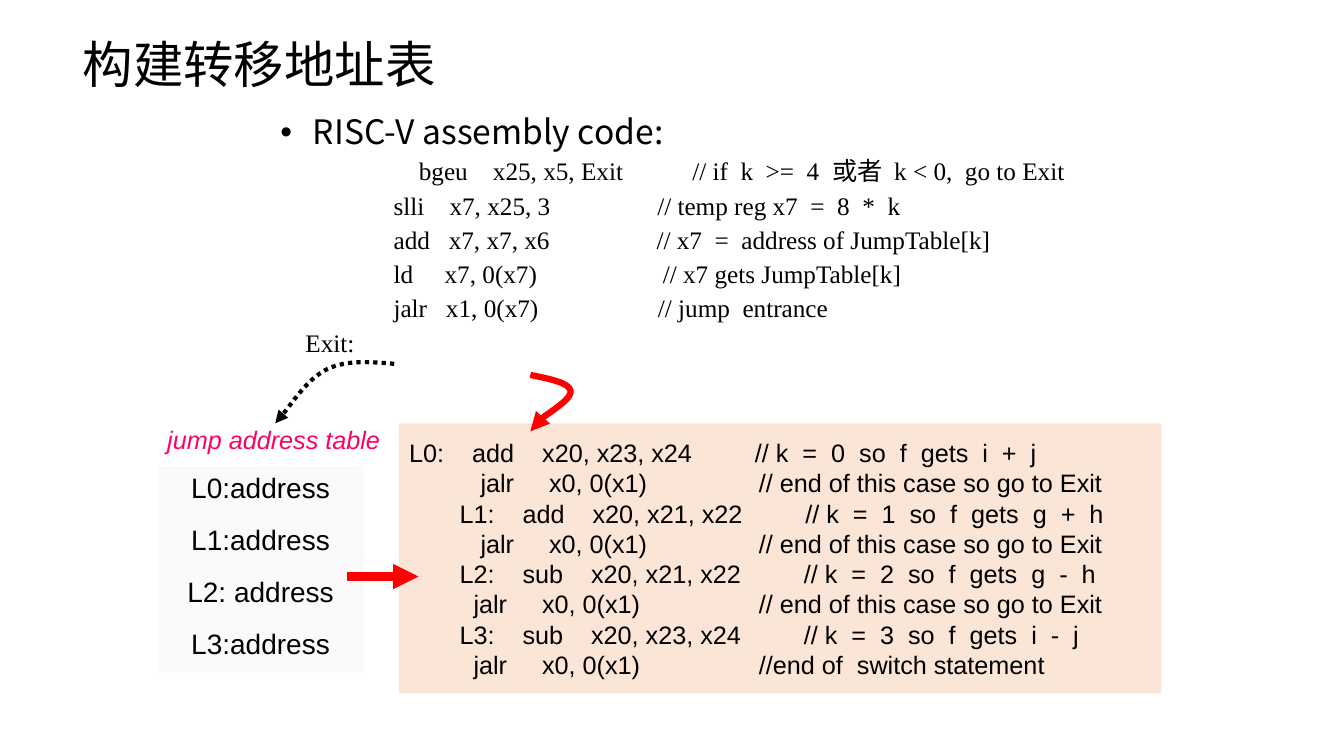
from lxml import etree
from pptx import Presentation
from pptx.dml.color import RGBColor
from pptx.enum.dml import MSO_LINE
from pptx.enum.shapes import MSO_CONNECTOR, MSO_SHAPE
from pptx.enum.text import MSO_ANCHOR, MSO_AUTO_SIZE, PP_ALIGN
from pptx.oxml.ns import qn
from pptx.util import Inches, Pt

RECTANGLE = MSO_SHAPE.RECTANGLE
STRAIGHT = MSO_CONNECTOR.STRAIGHT
DOTTED = MSO_LINE.ROUND_DOT
LEFT, CENTER = PP_ALIGN.LEFT, PP_ALIGN.CENTER
TOP, MIDDLE = MSO_ANCHOR.TOP, MSO_ANCHOR.MIDDLE

CELL = 0.1  # inches per grid column and row
SANS, SERIF, CJK = "Arial", "Times New Roman", "Noto Sans CJK SC"
BLACK, RED, PINK = "000000", "FF0000", "FF0066"
PEACH, PALE_GREY = "FBE5D6", "FAFAFA"

DISPATCH_CODE = [
    "\t\t          bgeu    x25, x5, Exit           // if  k  >=  4  或者  k < 0,  go to Exit",
    "                  slli    x7, x25, 3                 // temp reg x7  =  8  *  k",
    "                  add   x7, x7, x6                 // x7  =  address of JumpTable[k]",
    "                  ld     x7, 0(x7)                    // x7 gets JumpTable[k]",
    "                  jalr   x1, 0(x7)                   // jump  entrance",
    "\tExit:",
]
CASE_CODE = [
    "L0:    add    x20, x23, x24         // k  =  0  so  f  gets  i  +  j",
    "   jalr     x0, 0(x1)                // end of this case so go to Exit",
    "L1:    add    x20, x21, x22         // k  =  1  so  f  gets  g  +  h",
    "   jalr     x0, 0(x1)                // end of this case so go to Exit",
    "L2:    sub    x20, x21, x22         // k  =  2  so  f  gets  g  -  h",
    "  jalr     x0, 0(x1)                 // end of this case so go to Exit",
    "L3:    sub    x20, x23, x24         // k  =  3  so  f  gets  i  -  j",
    "  jalr     x0, 0(x1)                 //end of  switch statement",
]
TABLE_ENTRIES = ["L0:address", "L1:address", "L2: address", "L3:address"]


def grid(cells):
    return Inches(cells * CELL)


def color(hex_text):
    return RGBColor.from_string(hex_text)


def place(shape, left, top, width, height):
    shape.left, shape.top = grid(left), grid(top)
    shape.width, shape.height = grid(width), grid(height)


def style_para(para, font, size, ink=BLACK, align=LEFT, before=0, italic=False):
    para.alignment = align
    para.space_before = Pt(before)
    for span in para.runs:
        span.font.name, span.font.size = font, Pt(size)
        span.font.italic = italic
        span.font.color.rgb = color(ink)
        east_asian = etree.SubElement(span.font._element, qn("a:ea"))
        east_asian.set("typeface", CJK)


def set_indent(para, margin, first_line=0, bullet=None):
    """Set the hanging indent in inches and the bullet, if any."""
    properties = para._p.get_or_add_pPr()
    properties.set("marL", str(Inches(margin)))
    properties.set("indent", str(Inches(first_line)))
    if bullet:
        etree.SubElement(properties, qn("a:buChar")).set("char", bullet)
    else:
        etree.SubElement(properties, qn("a:buNone"))


def set_text(shape, lines, anchor=TOP):
    frame = shape.text_frame
    frame.text = "\n".join(lines)
    frame.word_wrap = True
    frame.auto_size = MSO_AUTO_SIZE.NONE
    frame.vertical_anchor = anchor
    return frame.paragraphs


def add_panel(page, area, fill):
    panel = page.shapes.add_shape(RECTANGLE, *map(grid, area))
    panel.shadow.inherit = False
    panel.fill.solid()
    panel.fill.fore_color.rgb = color(fill)
    panel.line.fill.background()
    return panel


def style_arrow(arrow, ink, width, dash=None):
    arrow.line.color.rgb = color(ink)
    arrow.line.width = Pt(width)
    if dash:
        arrow.line.dash_style = dash
    etree.SubElement(arrow.line._get_or_add_ln(), qn("a:tailEnd")).set("type", "triangle")


def add_curved_arrow(page, points, ink, width, dash=None):
    """Draw cubic curves through a start point and triples of control points."""
    start, *controls = [(grid(x), grid(y)) for x, y in points]
    builder = page.shapes.build_freeform(*start)
    builder.add_line_segments(controls, close=False)
    arrow = builder.convert_to_shape()
    path = next(arrow._element.iter(qn("a:path")))
    segments = path.findall(qn("a:lnTo"))
    for first in range(0, len(segments), 3):
        curve = etree.SubElement(path, qn("a:cubicBezTo"))
        for segment in segments[first:first + 3]:
            curve.append(segment[0])
            path.remove(segment)
    arrow.shadow.inherit = False
    arrow.fill.background()
    style_arrow(arrow, ink, width, dash)


def add_straight_arrow(page, start, end, ink, width):
    arrow = page.shapes.add_connector(STRAIGHT, *map(grid, start + end))
    style_arrow(arrow, ink, width)
    etree.SubElement(arrow._element.spPr, qn("a:effectLst"))


def fill_title(page):
    title = page.shapes.title
    place(title, 7.2, 2.7, 41.7, 7.1)
    for para in set_text(title, ["构建转移地址表"], MIDDLE):
        style_para(para, SANS, 36)


def fill_body(page):
    body = page.placeholders[1]
    place(body, 21.8, 11, 93.4, 26.8)
    heading, *code = set_text(body, [" RISC-V assembly code:"] + DISPATCH_CODE)
    set_indent(heading, 0.75, -0.25, "•")
    style_para(heading, CJK, 24)
    heading.line_spacing = 0.9
    for para in code:
        set_indent(para, 0.75, -0.25)
        style_para(para, SERIF, 18, before=5)
        para.line_spacing = 0.9


def add_case_code(page):
    panel = add_panel(page, (39.6, 42, 75.6, 26.8), PEACH)
    for number, para in enumerate(set_text(panel, CASE_CODE, MIDDLE)):
        set_indent(para, 0.5 if number else 0)
        style_para(para, SANS, 18)


def add_jump_table(page):
    label = page.shapes.add_textbox(*map(grid, (15.6, 41.6, 25, 4)))
    for para in set_text(label, ["jump address table"]):
        style_para(para, SANS, 18, PINK, italic=True)
    panel = add_panel(page, (15.6, 46.2, 20.5, 20.5), PALE_GREY)
    for number, para in enumerate(set_text(panel, TABLE_ENTRIES)):
        style_para(para, SANS, 20, align=CENTER, before=13 if number else 0)


def main():
    deck = Presentation()
    deck.slide_width, deck.slide_height = Inches(13.33), Inches(7.5)
    page = deck.slides.add_slide(deck.slide_layouts[1])
    fill_title(page)
    add_case_code(page)
    fill_body(page)
    add_jump_table(page)
    to_table = [(39.1, 36.1), (36.8, 35.9), (34.4, 35.7), (32.5, 36.6),
                (30.5, 37.6), (28.2, 41.1), (27.3, 42)]
    to_cases = [(52.6, 37.2), (54.6, 37.6), (56.5, 38), (56.6, 38.8),
                (56.7, 39.6), (53.8, 41.3), (53.2, 42),
                (52.5, 42.6), (52.5, 42.7), (52.6, 42.8)]
    add_curved_arrow(page, to_table, BLACK, 3, DOTTED)
    add_curved_arrow(page, to_cases, RED, 4.5)
    add_straight_arrow(page, (34.4, 57.2), (41.5, 57.2), RED, 6)
    deck.save("out.pptx")


if __name__ == "__main__":
    main()
